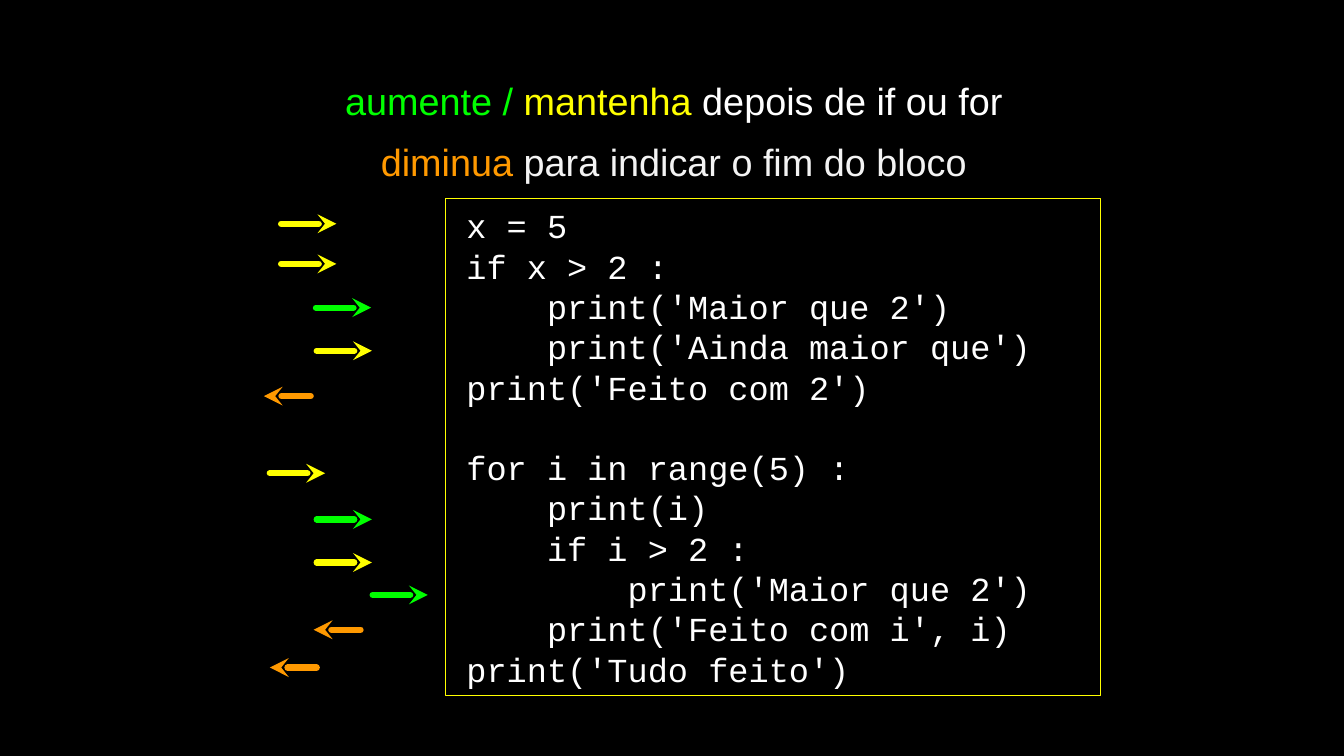
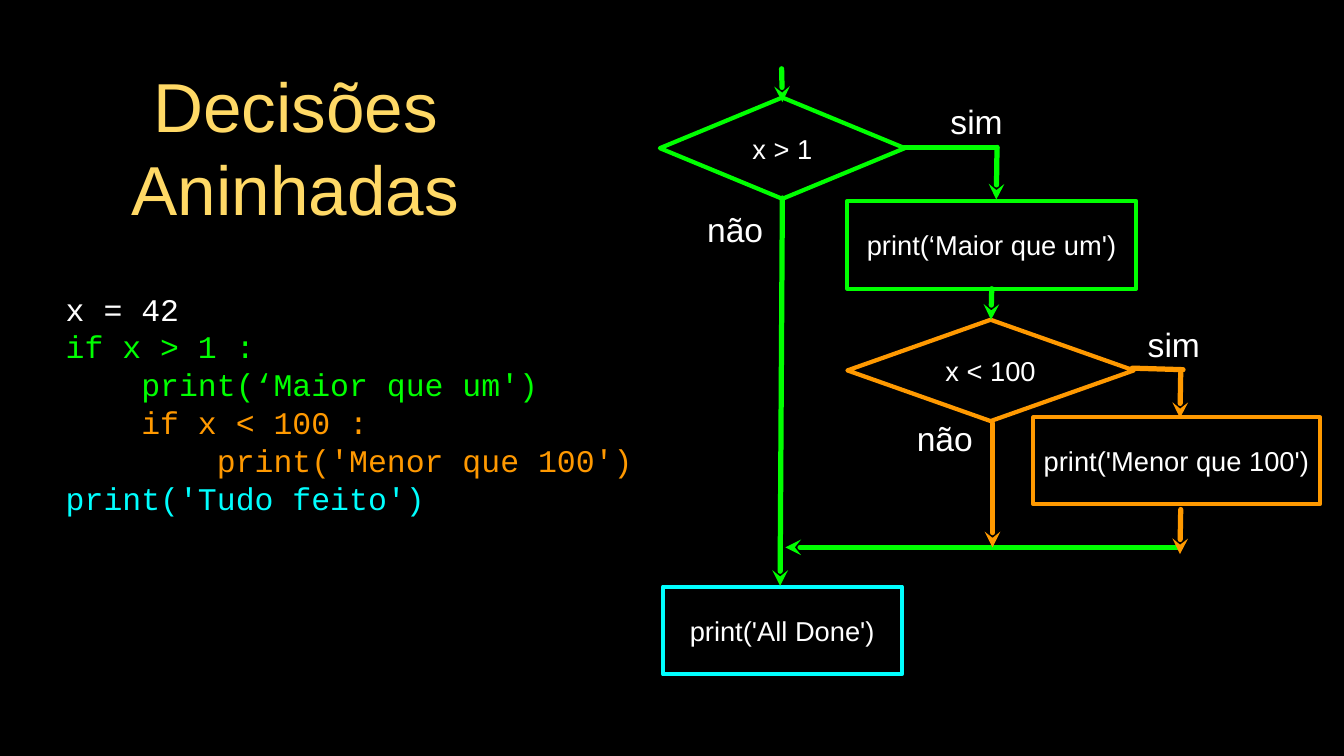
from dataclasses import dataclass

from lxml.etree import SubElement
from pptx import Presentation
from pptx.dml.color import RGBColor
from pptx.enum.shapes import MSO_CONNECTOR, MSO_SHAPE
from pptx.enum.text import MSO_ANCHOR, PP_ALIGN
from pptx.oxml.ns import qn
from pptx.util import Inches, Pt

# Shared look
BLACK, WHITE, PALE = "000000", "FFFFFF", "F3F3F3"
GREEN, YELLOW, ORANGE, CYAN, GOLD = "00FF00", "FFFF00", "FF9900", "00FFFF", "FFD966"
SANS, MONO = "Arial", "Courier New"

Point = tuple[float, float]
Box = tuple[float, float, float, float]
Run = tuple[str, str]


@dataclass(frozen=True)
class IndentArrow:
    tip: float
    y: float
    color: str


@dataclass(frozen=True)
class Step:
    text: str
    box: Box
    color: str
    kind: MSO_SHAPE = MSO_SHAPE.RECTANGLE


@dataclass(frozen=True)
class Flow:
    start: Point
    end: Point
    color: str = GREEN
    arrow: bool = True


def rgb(color: str) -> RGBColor:
    return RGBColor.from_string(color)


def new_slide(deck):
    slide = deck.slides.add_slide(deck.slide_layouts[6])
    slide.background.fill.solid()
    slide.background.fill.fore_color.rgb = rgb(BLACK)
    return slide


def write(shape, lines: list[list[Run]], *, size: float, font: str = SANS,
          align=PP_ALIGN.CENTER, inset: float = 0, left_inset: float | None = None,
          gaps: dict[int, float] | None = None) -> None:
    """Fill a shape with lines of coloured runs; gaps maps a line to its space before."""
    frame = shape.text_frame
    frame.word_wrap = True
    frame.vertical_anchor = MSO_ANCHOR.MIDDLE
    frame.margin_top = frame.margin_bottom = frame.margin_right = Inches(inset)
    frame.margin_left = Inches(inset if left_inset is None else left_inset)
    for index, runs in enumerate(lines):
        paragraph = frame.paragraphs[0] if index == 0 else frame.add_paragraph()
        paragraph.alignment = align
        paragraph.space_before = Pt((gaps or {}).get(index, 0))
        for text, color in runs:
            run = paragraph.add_run()
            run.text = text
            run.font.name = font
            run.font.size = Pt(size)
            run.font.color.rgb = rgb(color)


def add_text(slide, box: Box, lines: list[list[Run]], **style) -> None:
    write(slide.shapes.add_textbox(*map(Inches, box)), lines, **style)


def add_outline(slide, kind: MSO_SHAPE, box: Box, color: str, width: float):
    shape = slide.shapes.add_shape(kind, *map(Inches, box))
    shape.shadow.inherit = False
    shape.fill.background()
    shape.line.color.rgb = rgb(color)
    shape.line.width = Pt(width)
    return shape


def add_line(slide, start: Point, end: Point, color: str, width: float,
             arrow: bool = True) -> None:
    line = slide.shapes.add_connector(MSO_CONNECTOR.STRAIGHT,
                                      *map(Inches, (*start, *end)))
    line.line.color.rgb = rgb(color)
    line.line.width = Pt(width)
    outline = line.line._get_or_add_ln()
    outline.set("cap", "rnd")
    if arrow:
        SubElement(outline, qn("a:tailEnd"), type="stealth")
    SubElement(line._element.spPr, qn("a:effectLst"))


def build_indentation(deck) -> None:
    slide = new_slide(deck)

    # Code listing
    code = [
        "x = 5",
        "if x > 2 :",
        "    print('Maior que 2')",
        "    print('Ainda maior que')",
        "print('Feito com 2')",
        "for i in range(5) :",
        "    print(i)",
        "    if i > 2 :",
        "        print('Maior que 2')",
        "    print('Feito com i', i)",
        "print('Tudo feito')",
    ]
    listing = add_outline(slide, MSO_SHAPE.RECTANGLE, (5.9, 2.63, 8.66, 6.57), YELLOW, 1)
    write(listing, [[(line, WHITE)] for line in code], size=32, font=MONO,
          align=PP_ALIGN.LEFT, left_inset=0.27, gaps={code.index("for i in range(5) :"): 38})

    # Rule of indentation
    add_text(slide, (4.53, 1.05, 8.77, 1.37), [
        [("aumente / ", GREEN), ("mantenha ", YELLOW), ("depois de if ou for", WHITE)],
        [("diminua ", ORANGE), ("para indicar o fim do bloco", PALE)],
    ], size=36, gaps={1: 15})

    # One arrow per line of code: orange points back, the others forward
    arrows = [
        IndentArrow(4.45, 2.96, YELLOW),
        IndentArrow(4.45, 3.49, YELLOW),
        IndentArrow(4.91, 4.07, GREEN),
        IndentArrow(4.92, 4.64, YELLOW),
        IndentArrow(3.49, 5.24, ORANGE),
        IndentArrow(4.3, 6.26, YELLOW),
        IndentArrow(4.92, 6.87, GREEN),
        IndentArrow(4.92, 7.44, YELLOW),
        IndentArrow(5.66, 7.87, GREEN),
        IndentArrow(4.15, 8.33, ORANGE),
        IndentArrow(3.57, 8.83, ORANGE),
    ]
    for arrow in arrows:
        tail = arrow.tip + (0.62 if arrow.color == ORANGE else -0.73)
        add_line(slide, (tail, arrow.y), (arrow.tip, arrow.y), arrow.color, 6)


def build_nested_decisions(deck) -> None:
    slide = new_slide(deck)

    # Code and title
    add_text(slide, (0.87, 3.51, 7.6, 3.64), [
        [("x = 42", WHITE)],
        [("if x > 1 :", GREEN)],
        [("    print(‘Maior que um')", GREEN)],
        [("    if x < 100 :", ORANGE)],
        [("        print('Menor que 100')", ORANGE)],
        [("print('Tudo feito')", CYAN)],
    ], size=30, font=MONO, align=PP_ALIGN.LEFT)
    add_text(slide, (1.28, 0.75, 5.26, 2.37),
             [[("Decisões", GOLD)], [("Aninhadas", GOLD)]], size=66, inset=0.04)

    # Decisions and actions
    steps = [
        Step("x > 1", (8.73, 1.29, 3.24, 1.34), GREEN, MSO_SHAPE.DIAMOND),
        Step("print(‘Maior que um')", (11.21, 2.66, 3.82, 1.16), GREEN),
        Step("x < 100", (11.21, 4.23, 3.79, 1.34), ORANGE, MSO_SHAPE.DIAMOND),
        Step("print('Menor que 100')", (13.67, 5.52, 3.79, 1.15), ORANGE),
        Step("print('All Done')", (8.77, 7.76, 3.16, 1.16), CYAN),
    ]
    for step in steps:
        shape = add_outline(slide, step.kind, step.box, step.color, 4)
        write(shape, [[(step.text, WHITE)]], size=26)

    # Paths between the steps
    flows = [
        Flow((10.34, 0.91), (10.35, 1.35)),
        Flow((11.96, 1.95), (13.19, 1.95), arrow=False),
        Flow((13.19, 1.95), (13.18, 2.64)),
        Flow((10.35, 2.62), (10.32, 7.75)),
        Flow((14.98, 4.87), (15.65, 4.89), ORANGE, arrow=False),
        Flow((15.62, 4.93), (15.61, 5.53), ORANGE),
        Flow((13.12, 3.82), (13.11, 4.23)),
        Flow((15.58, 7.24), (10.39, 7.24)),
        Flow((13.13, 5.6), (13.13, 7.24), ORANGE),
        Flow((15.62, 6.74), (15.61, 7.33), ORANGE),
    ]
    for flow in flows:
        add_line(slide, flow.start, flow.end, flow.color, 5, flow.arrow)

    # Answers beside the decisions
    answers = [("sim", 12.42, 1.35, 1), ("sim", 15.03, 4.29, 1),
               ("não", 12.05, 5.54, 0.9), ("não", 9.33, 2.78, 0.79)]
    for answer, left, top, width in answers:
        add_text(slide, (left, top, width, 0.51), [[(answer, WHITE)]], size=32)


deck = Presentation()
deck.slide_width, deck.slide_height = Inches(17.78), Inches(10)
build_indentation(deck)
build_nested_decisions(deck)
deck.save("out.pptx")
